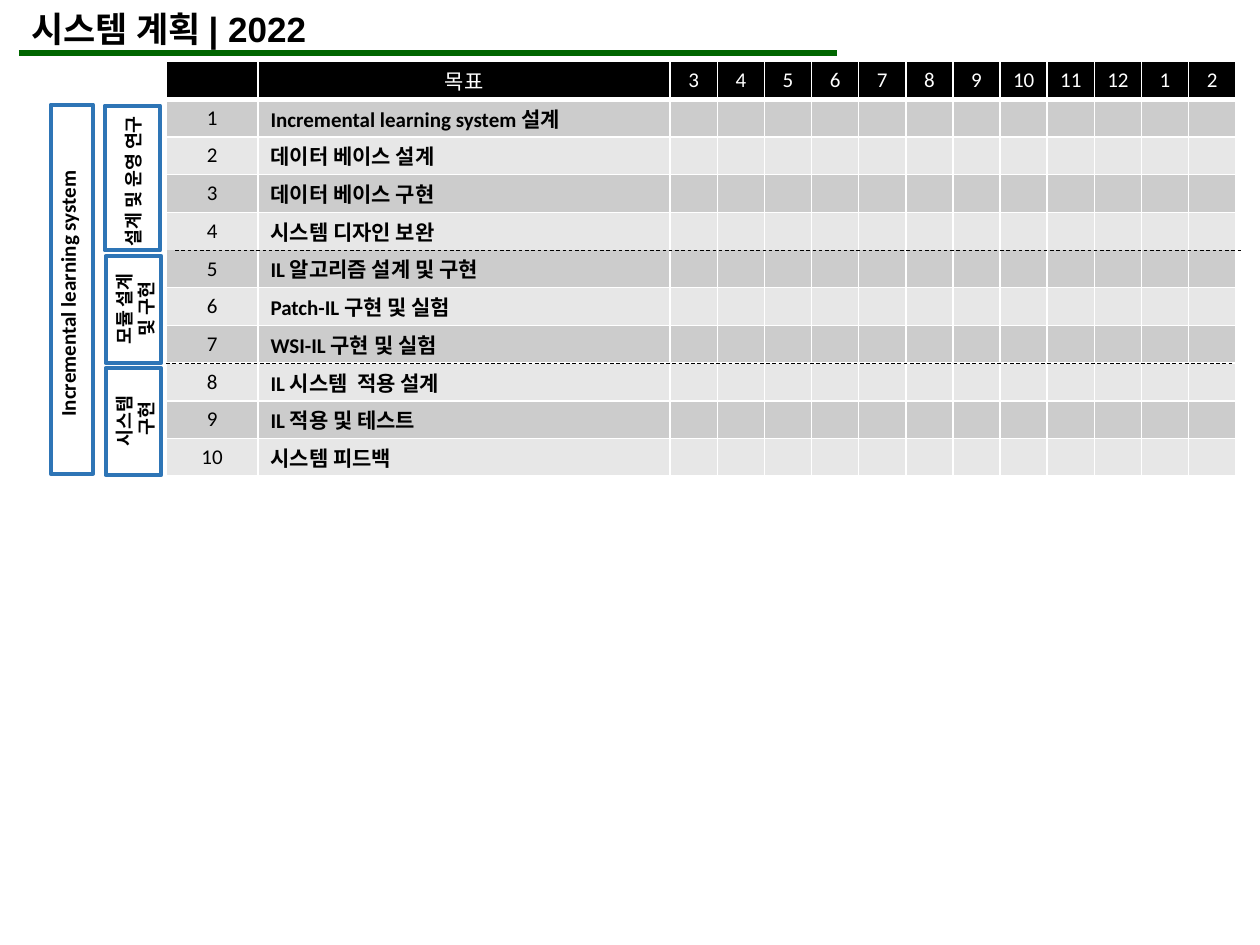
import pptx
import pptx.dml.color
import pptx.enum.dml
import pptx.enum.shapes
import pptx.enum.text
import pptx.oxml.ns
import pptx.util
from lxml import etree

Cm = pptx.util.Cm
Pt = pptx.util.Pt
ALIGN = pptx.enum.text.PP_ALIGN
QN = pptx.oxml.ns.qn

COLORS = {
    "black": "000000",
    "white": "FFFFFF",
    "band_dark": "CCCCCC",
    "band_light": "E7E7E7",
    "frame": "2E75B6",
    "rule": "006600",
}

GOALS = [
    "Incremental learning system 설계",
    "데이터 베이스 설계",
    "데이터 베이스 구현",
    "시스템 디자인 보완",
    "IL 알고리즘 설계 및 구현",
    "Patch-IL 구현 및 실험",
    "WSI-IL 구현 및 실험",
    "IL 시스템  적용 설계",
    "IL 적용 및 테스트",
    "시스템 피드백",
]
MONTHS = [*range(3, 13), 1, 2]
COLUMN_WIDTHS = [1.85, 8.31] + [0.95] * len(MONTHS)
ROW_HEIGHT = 0.76
DESIGN_END_ROW = 4

# Frame box, label box (both left, top, width, height), label, text size
PHASES = [
    ((2.11, 2.13, 1.12, 2.92), (0.46, 3.3, 4.45, 0.71), "설계 및 운영 연구", 10.5),
    ((1.02, 2.11, 0.86, 7.44), (-1.9, 5.49, 6.53, 0.76), "Incremental learning system ", 12),
    ((2.13, 5.16, 1.12, 2.16), (1.6, 5.66, 2.26, 1.14), "모듈 설계 및 구현", 10.5),
    ((2.13, 7.42, 1.12, 2.16), (1.6, 7.87, 2.26, 1.14), "시스템 \n구현", 10.5),
]


def rgb(name):
    return pptx.dml.color.RGBColor.from_string(COLORS[name])


def lengths(values):
    return [Cm(value) for value in values]


def add_text(paragraph, text, size, color="black", bold=False, font="Calibri", align=ALIGN.LEFT):
    """Add the text as runs, with a line break for each newline."""
    paragraph.alignment = align
    for index, line in enumerate(text.split("\n")):
        if index:
            paragraph.add_line_break()
        run = paragraph.add_run()
        run.text = line
        run.font.name = font
        run.font.size = Pt(size)
        run.font.bold = bold
        run.font.color.rgb = rgb(color)


def add_title(slide, text):
    title = slide.shapes.title
    title.left, title.top, title.width, title.height = lengths((0.38, 0.03, 20.45, 1.12))
    frame = title.text_frame
    frame.word_wrap = True
    frame.auto_size = pptx.enum.text.MSO_AUTO_SIZE.SHAPE_TO_FIT_TEXT
    frame.vertical_anchor = pptx.enum.text.MSO_ANCHOR.TOP
    add_text(frame.paragraphs[0], text, 20, bold=True, font="Arial")


def set_borders(cell, top=1, bottom=1):
    """Draw white cell borders; a width of 0 leaves the side open."""
    properties = cell._tc.get_or_add_tcPr()
    for tag, width in (("a:lnL", 1), ("a:lnR", 1), ("a:lnT", top), ("a:lnB", bottom)):
        line = etree.SubElement(properties, QN(tag))
        if width:
            line.set("w", str(Pt(width)))
            fill = etree.SubElement(line, QN("a:solidFill"))
            etree.SubElement(fill, QN("a:srgbClr"), val=COLORS["white"])
        else:
            etree.SubElement(line, QN("a:noFill"))


def fill_cell(cell, text, fill, **style):
    cell.fill.solid()
    cell.fill.fore_color.rgb = rgb(fill)
    cell.vertical_anchor = pptx.enum.text.MSO_ANCHOR.MIDDLE
    cell.margin_top = cell.margin_bottom = Cm(0.05)
    paragraph = cell.text_frame.paragraphs[0]
    if text:
        add_text(paragraph, text, 12, **style)
    else:
        etree.SubElement(paragraph._p, QN("a:endParaRPr"), sz="1200")


def add_schedule(slide):
    header = ["", "목표", *map(str, MONTHS)]
    rows = [header] + [
        [str(number), goal] + [""] * len(MONTHS) for number, goal in enumerate(GOALS, 1)
    ]
    table = slide.shapes.add_table(
        len(rows), len(header), Cm(3.35), Cm(1.24),
        Cm(sum(COLUMN_WIDTHS)), Cm(ROW_HEIGHT * len(rows)),
    ).table
    for column, width in zip(table.columns, COLUMN_WIDTHS):
        column.width = Cm(width)
    for row_index, texts in enumerate(rows):
        table.rows[row_index].height = Cm(ROW_HEIGHT)
        is_header = row_index == 0
        fill = "black" if is_header else "band_dark" if row_index % 2 else "band_light"
        top = 0 if row_index == DESIGN_END_ROW + 1 else 3 if row_index == 1 else 1
        bottom = 3 if is_header else 0 if row_index == DESIGN_END_ROW else 1
        for column_index, text in enumerate(texts):
            cell = table.cell(row_index, column_index)
            is_goal = column_index == 1 and not is_header
            set_borders(cell, top, bottom)
            fill_cell(
                cell, text, fill,
                color="white" if is_header else "black",
                bold=is_goal,
                align=ALIGN.LEFT if is_goal else ALIGN.CENTER,
            )


def add_frame(slide, box):
    shape = slide.shapes.add_shape(pptx.enum.shapes.MSO_SHAPE.RECTANGLE, *lengths(box))
    shape.shadow.inherit = False
    shape.fill.background()
    shape.line.color.rgb = rgb("frame")
    shape.line.width = Pt(2.25)


def add_vertical_label(slide, box, text, size):
    shape = slide.shapes.add_textbox(*lengths(box))
    shape.rotation = 270
    frame = shape.text_frame
    frame.word_wrap = True
    frame.auto_size = pptx.enum.text.MSO_AUTO_SIZE.SHAPE_TO_FIT_TEXT
    add_text(frame.paragraphs[0], text, size, bold=True, align=ALIGN.CENTER)


def add_horizontal_line(slide, left, right, top, color, width, dashed=False):
    line = slide.shapes.add_connector(
        pptx.enum.shapes.MSO_CONNECTOR.STRAIGHT, *lengths((left, top, right, top))
    )
    line.line.color.rgb = rgb(color)
    line.line.width = Pt(width)
    if dashed:
        line.line.dash_style = pptx.enum.dml.MSO_LINE.DASH
    etree.SubElement(line._element.spPr, QN("a:effectLst"))


def main():
    presentation = pptx.Presentation()
    presentation.slide_width, presentation.slide_height = Cm(25.4), Cm(19.05)
    slide = presentation.slides.add_slide(presentation.slide_layouts[5])
    add_title(slide, "시스템 계획 | 2022")
    add_schedule(slide)
    for frame_box, label_box, text, size in PHASES:
        add_frame(slide, frame_box)
        add_vertical_label(slide, label_box, text, size)
    add_horizontal_line(slide, 3.53, 25.07, 5.05, "black", 0.5, dashed=True)
    add_horizontal_line(slide, 0.38, 16.87, 1.07, "rule", 3)
    add_horizontal_line(slide, 3.35, 24.89, 7.32, "black", 0.5, dashed=True)
    presentation.save("out.pptx")


if __name__ == "__main__":
    main()
